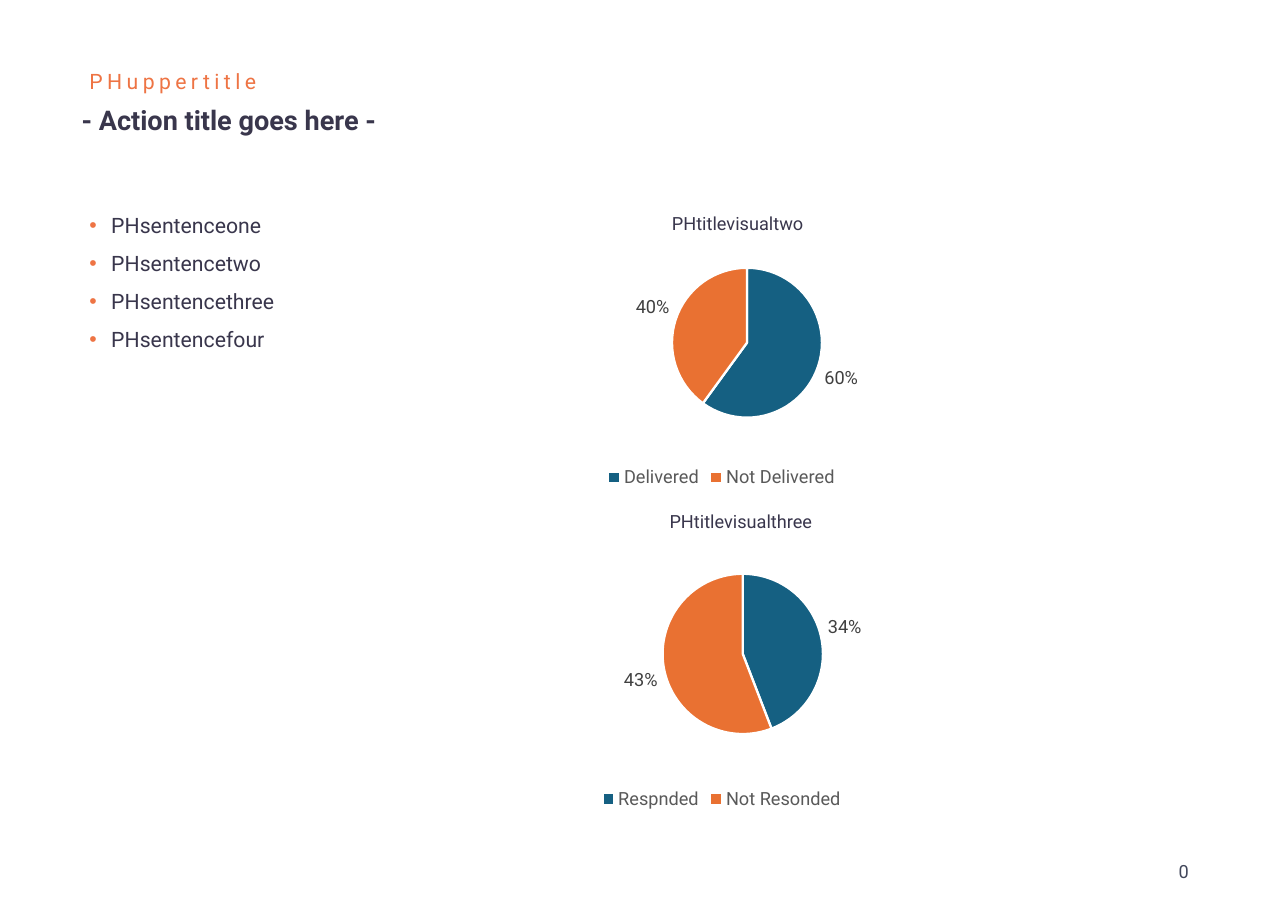
import pptx
import pptx.chart.data
import pptx.dml.color
import pptx.enum.chart
import pptx.enum.text
import pptx.oxml
import pptx.oxml.ns
import pptx.util

Inches = pptx.util.Inches
Pt = pptx.util.Pt
Align = pptx.enum.text.PP_ALIGN
Anchor = pptx.enum.text.MSO_ANCHOR


def colour(value):
    return pptx.dml.color.RGBColor.from_string(value)


class Page:
    """Style and drawing methods for the current slide."""

    typeface = "Roboto"
    ink = "39364C"
    accent = "EE7444"
    slices = ("156082", "E97132")
    plot = {"x": 0.09, "y": 0.25, "w": 0.89, "h": 0.5}

    def __init__(self, deck):
        self.slide = deck.slides.add_slide(deck.slide_layouts[1])

    def font(self, font, size, value, bold=False):
        font.name = self.typeface
        font.size = Pt(size)
        font.bold = bold
        font.color.rgb = colour(value)

    def place(self, shape, box):
        shape.left, shape.top, shape.width, shape.height = map(Inches, box)
        frame = shape.text_frame
        frame.word_wrap = True
        frame.auto_size = pptx.enum.text.MSO_AUTO_SIZE.NONE
        return frame

    def upper_title(self, text, box):
        frame = self.place(self.slide.shapes.title, box)
        frame.vertical_anchor = Anchor.MIDDLE
        para = frame.paragraphs[0]
        para.alignment = Align.LEFT
        para.line_spacing = 0.9
        span = para.add_run()
        span.text = text
        self.font(para.font, 14, self.accent)
        span._r.get_or_add_rPr().set("spc", "290")

    def bullets(self, sentences, box):
        frame = self.place(self.slide.placeholders[1], box)
        frame.text = "\n".join(sentences)
        namespace = pptx.oxml.ns.nsdecls("a")
        for para in frame.paragraphs:
            para.line_spacing = 1.5
            para.space_before = Pt(0)
            properties = para._p.get_or_add_pPr()
            properties.set("marL", str(Inches(0.2)))
            properties.set("indent", str(Inches(-0.2)))
            for element in (
                f'<a:buClr {namespace}><a:srgbClr val="{self.accent}"/></a:buClr>',
                f'<a:buFont {namespace} typeface="Arial"/>',
                f'<a:buChar {namespace} char="•"/>',
            ):
                properties.append(pptx.oxml.parse_xml(element))
            self.font(para.font, 14, self.ink)

    def text(self, text, box, size, value, align=Align.LEFT, anchor=Anchor.TOP, bold=False):
        shape = self.slide.shapes.add_textbox(*map(Inches, box))
        frame = self.place(shape, box)
        frame.vertical_anchor = anchor
        para = frame.paragraphs[0]
        para.text = text
        para.alignment = align
        self.font(para.font, size, value, bold)

    def pie(self, shares, box):
        data = pptx.chart.data.CategoryChartData()
        data.categories = list(shares)
        data.add_series("Series 1", list(shares.values()))
        chart = self.slide.shapes.add_chart(
            pptx.enum.chart.XL_CHART_TYPE.PIE, *map(Inches, box), data
        ).chart
        self.font(chart.font, 10, "000000")
        chart.has_title = False
        chart.has_legend = True
        chart.legend.position = pptx.enum.chart.XL_LEGEND_POSITION.BOTTOM
        chart.legend.include_in_layout = False
        self.font(chart.legend.font, 12, "595959")
        self.plot_layout(chart)

        pie = chart.plots[0]
        pie.vary_by_categories = True
        series = pie.series[0]
        for index, value in enumerate(self.slices):
            style = series.points[index].format
            style.fill.solid()
            style.fill.fore_color.rgb = colour(value)
            style.line.color.rgb = colour("FFFFFF")
            style.line.width = Pt(1.5)

        labels = series.data_labels
        labels.show_value = True
        labels.show_percentage = False
        labels.number_format = "##%"
        labels.number_format_is_linked = False
        labels.position = pptx.enum.chart.XL_LABEL_POSITION.OUTSIDE_END
        self.font(labels.font, 12, "404040")

    def plot_layout(self, chart):
        area = chart._chartSpace.chart.plotArea
        for layout in area.findall(pptx.oxml.ns.qn("c:layout")):
            area.remove(layout)
        sizes = "".join(f'<c:{name} val="{value}"/>' for name, value in self.plot.items())
        area.insert(0, pptx.oxml.parse_xml(
            f'<c:layout {pptx.oxml.ns.nsdecls("c")}><c:manualLayout>'
            '<c:layoutTarget val="inner"/><c:xMode val="edge"/><c:yMode val="edge"/>'
            f'{sizes}</c:manualLayout></c:layout>'
        ))


def main():
    deck = pptx.Presentation()
    deck.slide_width = pptx.util.Cm(30)
    deck.slide_height = pptx.util.Cm(21.3)
    page = Page(deck)

    page.bullets(
        ["PHsentenceone", "PHsentencetwo", "PHsentencethree", "PHsentencefour"],
        (0.72, 1.78, 4.47, 5.38),
    )
    page.text("0", (8.34, 7.77, 2.66, 0.45), 12, "42475B", Align.RIGHT, Anchor.MIDDLE)
    page.upper_title("PHuppertitle", (0.72, 0.54, 6.08, 0.44))
    page.pie({"Delivered": 0.6, "Not Delivered": 0.4}, (3.33, 1.77, 6.58, 2.75))
    page.pie({"Respnded": 0.34, "Not Resonded": 0.43}, (3.88, 4.53, 5.48, 2.94))
    page.text("- Action title goes here -", (0.65, 0.9, 7.58, 0.51), 17.9, page.ink, bold=True)
    page.text("PHtitlevisualtwo", (5.03, 1.9, 3.47, 0.3), 12, page.ink, Align.CENTER)
    page.text("PHtitlevisualthree", (5.03, 4.63, 3.53, 0.3), 12, page.ink, Align.CENTER)
    deck.save("out.pptx")


if __name__ == "__main__":
    main()
